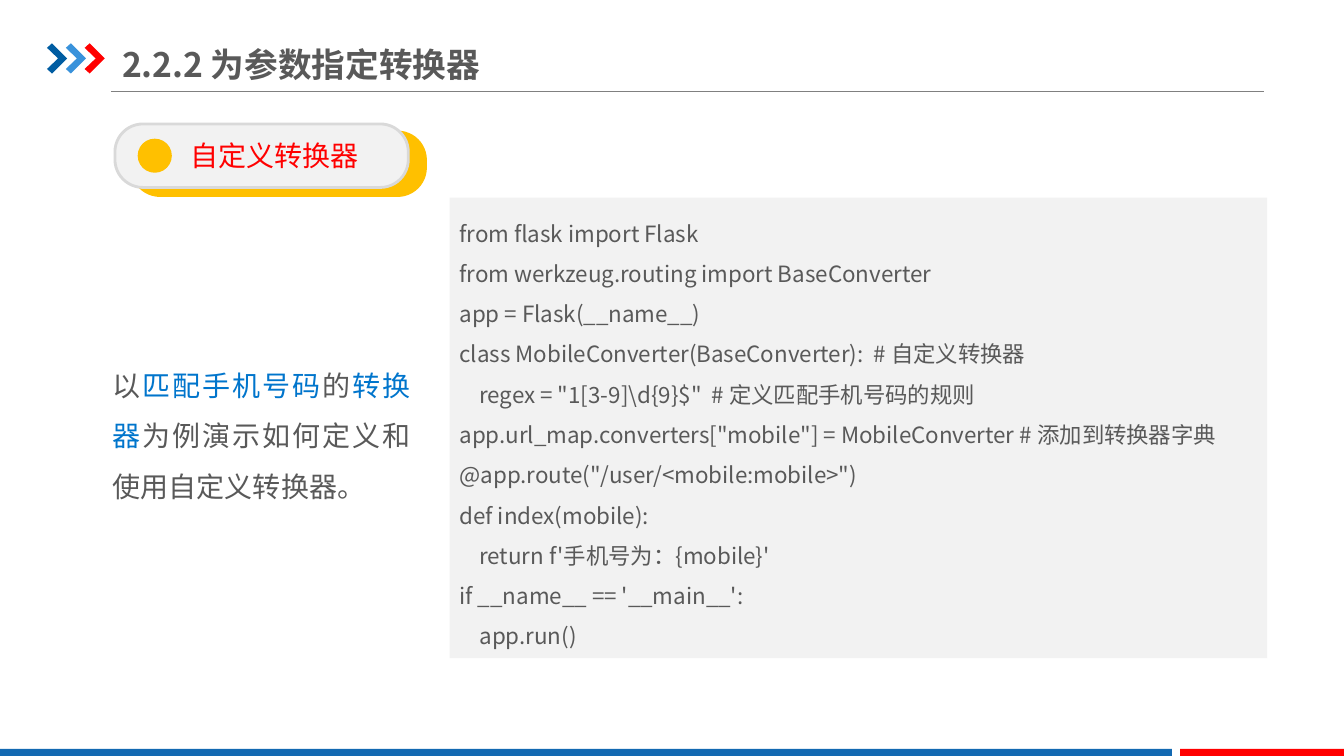
from lxml import etree
from pptx import Presentation, util as u
from pptx.dml.color import RGBColor
from pptx.enum import shapes, text
from pptx.oxml import ns

FONT = "Noto Sans CJK SC"
GRAY = RGBColor(0x59, 0x59, 0x59)
RULE = RGBColor(0x80, 0x80, 0x80)
PALE = RGBColor(0xF2, 0xF2, 0xF2)
SILVER = RGBColor(0xD9, 0xD9, 0xD9)
RED = RGBColor(0xFF, 0x00, 0x00)
AMBER = RGBColor(0xFF, 0xC0, 0x00)
NAVY = RGBColor(0x00, 0x5D, 0xA2)
SKY = RGBColor(0x39, 0x92, 0xDB)
FOOTER_BLUE = RGBColor(0x13, 0x69, 0xB2)
KEYWORD_BLUE = RGBColor(0x00, 0x75, 0xCC)

CODE = r'''from flask import Flask
from werkzeug.routing import BaseConverter
app = Flask(__name__)
class MobileConverter(BaseConverter):  # 自定义转换器
    regex = "1[3-9]\d{9}$"  # 定义匹配手机号码的规则
app.url_map.converters["mobile"] = MobileConverter # 添加到转换器字典
@app.route("/user/<mobile:mobile>")
def index(mobile):
    return f'手机号为：{mobile}'
if __name__ == '__main__':
    app.run()'''

presentation = Presentation()
presentation.slide_width = u.Inches(13.33)
presentation.slide_height = u.Inches(7.5)
COLUMN = presentation.slide_width / 100
ROW = presentation.slide_height / 100
slide = presentation.slides.add_slide(presentation.slide_layouts[5])


def add_block(kind, left, top, width, height, fill, line=None):
    shape = slide.shapes.add_shape(
        kind, int(left * COLUMN), int(top * ROW), int(width * COLUMN), int(height * ROW))
    shape.shadow.inherit = False
    shape.fill.solid()
    shape.fill.fore_color.rgb = fill
    if line is None:
        shape.line.fill.background()
    else:
        shape.line.color.rgb = line
        shape.line.width = u.Pt(2)
    return shape


def style_run(run, size, color=GRAY, bold=False):
    run.font.size = u.Pt(size)
    run.font.bold = bold
    run.font.color.rgb = color
    run.font.name = FONT
    etree.SubElement(run.font._element, ns.qn("a:ea"), typeface=FONT)


rule = slide.shapes.add_connector(
    shapes.MSO_CONNECTOR.STRAIGHT,
    int(8.25 * COLUMN), int(12.13 * ROW), int(94.05 * COLUMN), int(12.13 * ROW))
rule.line.color.rgb = RULE
rule.line.width = u.Pt(0.75)
etree.SubElement(rule._element.spPr, ns.qn("a:effectLst"))

CHEVRON = [(0, 0.15), (0.25, 0), (1, 0.5), (0.25, 1), (0, 0.85), (0.55, 0.5)]
for index, color in enumerate([NAVY, SKY, RED]):
    points = [(int((3.5 + 1.4 * index + 1.5 * across) * COLUMN),
               int((5.73 + 4 * down) * ROW)) for across, down in CHEVRON]
    builder = slide.shapes.build_freeform(*points[0])
    builder.add_line_segments(points[1:], close=True)
    chevron = builder.convert_to_shape()
    chevron.shadow.inherit = False
    chevron.fill.solid()
    chevron.fill.fore_color.rgb = color
    chevron.line.fill.background()

for left, width, color in [(0, 87.2, FOOTER_BLUE), (87.8, 12.2, RED)]:
    add_block(shapes.MSO_SHAPE.RECTANGLE, left, 99.07, width, 0.93, color)

title = slide.shapes.title
title.left, title.top = int(9.08 * COLUMN), int(4.8 * ROW)
title.width, title.height = int(35.7 * COLUMN), int(7.33 * ROW)
title_frame = title.text_frame
title_frame.text = "2.2.2 为参数指定转换器"
title_frame.auto_size = text.MSO_AUTO_SIZE.NONE
title_frame.vertical_anchor = text.MSO_ANCHOR.MIDDLE
title_frame.margin_left = title_frame.margin_right = 0
title_frame.margin_top = title_frame.margin_bottom = u.Inches(0.07)
title_frame.paragraphs[0].alignment = text.PP_ALIGN.LEFT
style_run(title_frame.paragraphs[0].runs[0], 24, bold=True)

for left, top, fill, line in [(9.83, 17.47, AMBER, AMBER), (8.55, 16.4, PALE, SILVER)]:
    label = add_block(shapes.MSO_SHAPE.ROUNDED_RECTANGLE, left, top, 21.83, 8.4, fill, line)
    label.adjustments[0] = 0.44
label_frame = label.text_frame
label_frame.text = "自定义转换器"
label_frame.margin_left = u.Inches(0.35)
label_frame.vertical_anchor = text.MSO_ANCHOR.MIDDLE
label_frame.paragraphs[0].alignment = text.PP_ALIGN.CENTER
style_run(label_frame.paragraphs[0].runs[0], 20, RED)
add_block(shapes.MSO_SHAPE.OVAL, 10.35, 18.53, 2.33, 4.13, AMBER, AMBER)

summary = slide.shapes.add_textbox(
    int(7.65 * COLUMN), int(45.87 * ROW), int(23.63 * COLUMN), int(21.6 * ROW))
summary_frame = summary.text_frame
summary_frame.word_wrap = True
summary_frame.auto_size = text.MSO_AUTO_SIZE.SHAPE_TO_FIT_TEXT
paragraph = summary_frame.paragraphs[0]
paragraph.alignment = text.PP_ALIGN.JUSTIFY
paragraph.line_spacing = 1.5
for words, color in [("以", GRAY), ("匹配手机号码", KEYWORD_BLUE), ("的", GRAY),
                     ("转换器", KEYWORD_BLUE),
                     ("为例演示如何定义和使用自定义转换器。", GRAY)]:
    run = paragraph.add_run()
    run.text = words
    style_run(run, 20, color)

panel = add_block(shapes.MSO_SHAPE.RECTANGLE, 33.45, 26.13, 60.83, 60.93, PALE)
panel.text_frame.text = CODE
panel.text_frame.vertical_anchor = text.MSO_ANCHOR.MIDDLE
for paragraph in panel.text_frame.paragraphs:
    paragraph.alignment = text.PP_ALIGN.LEFT
    paragraph.line_spacing = 1.5
    style_run(paragraph.runs[0], 16)

presentation.save("out.pptx")
